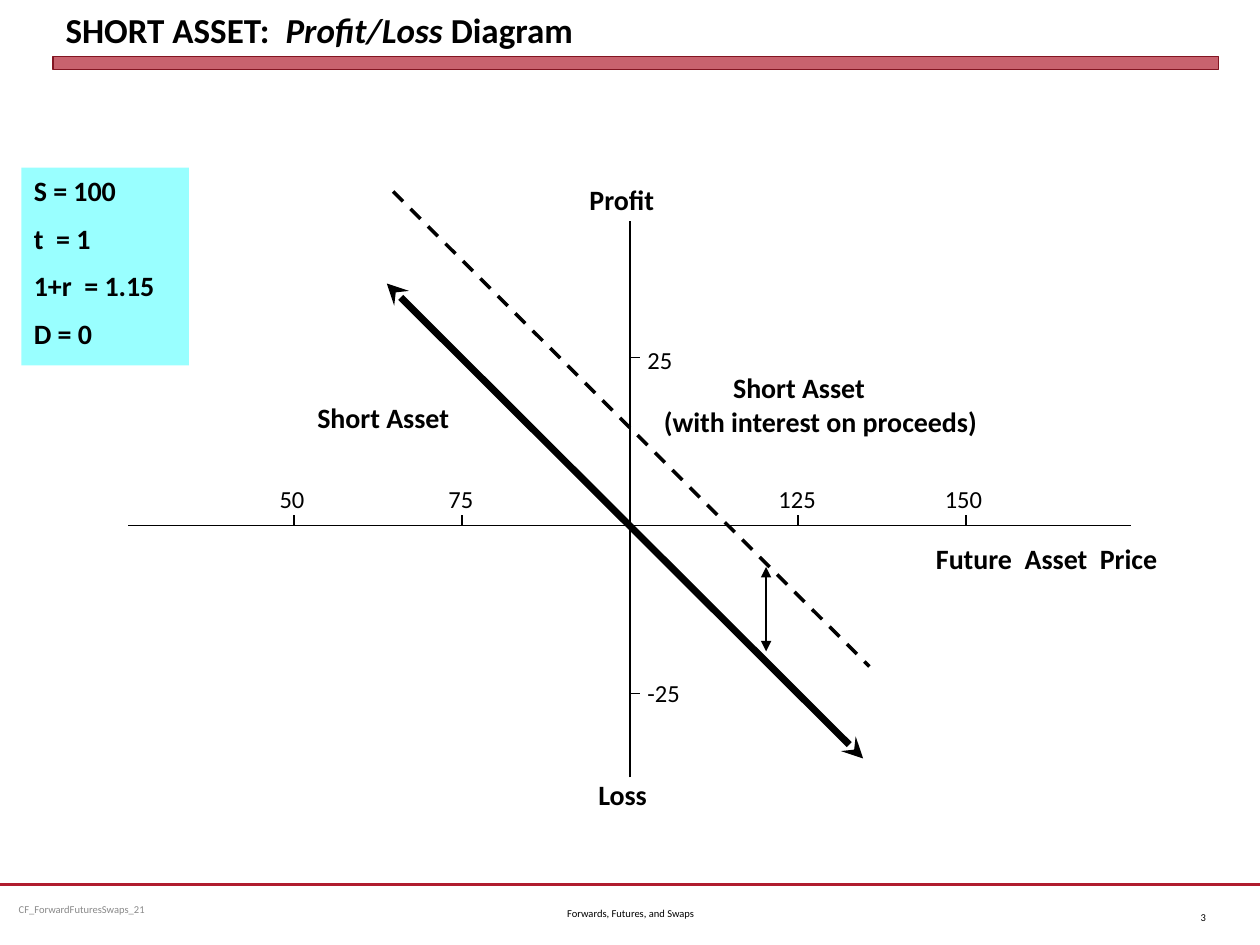
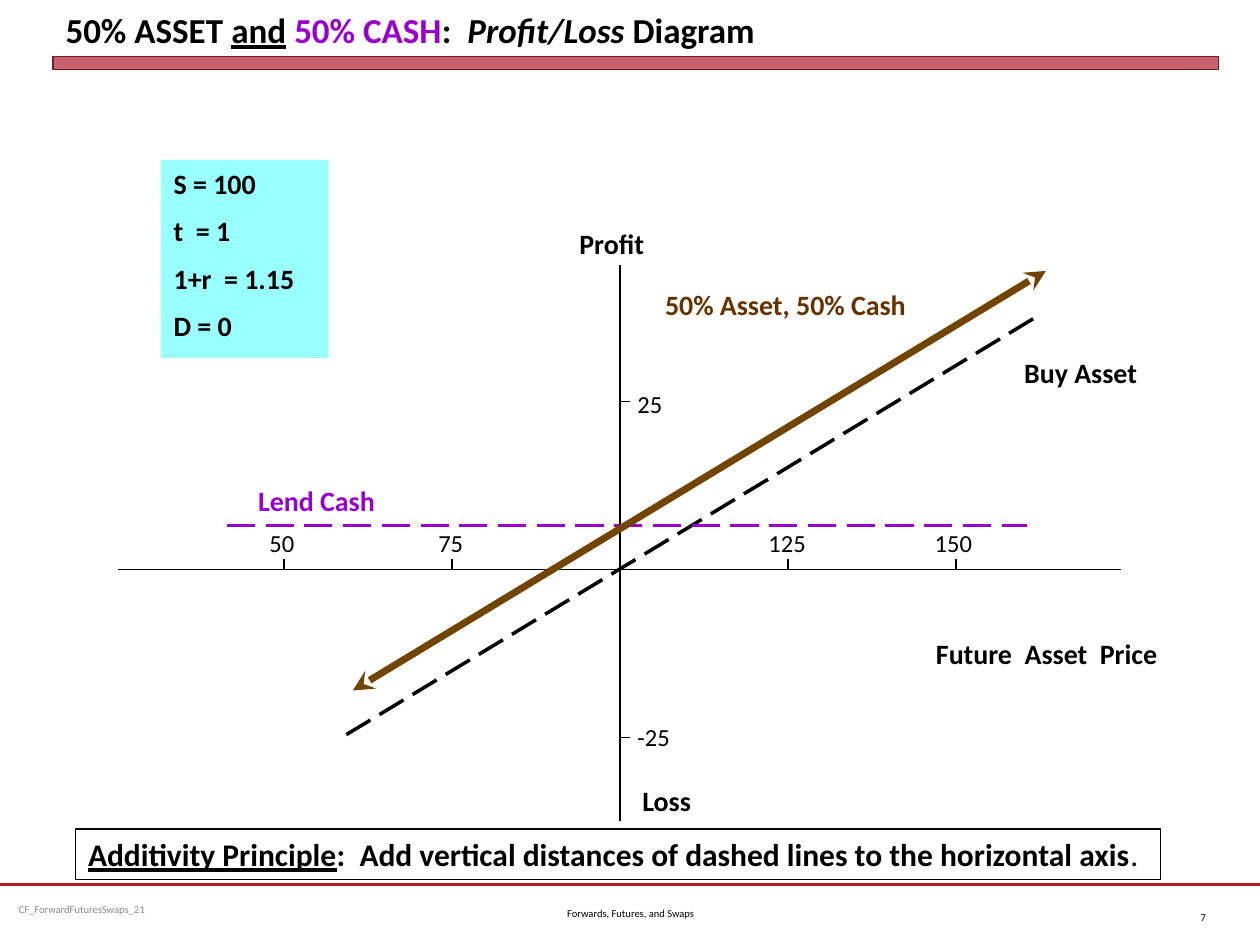
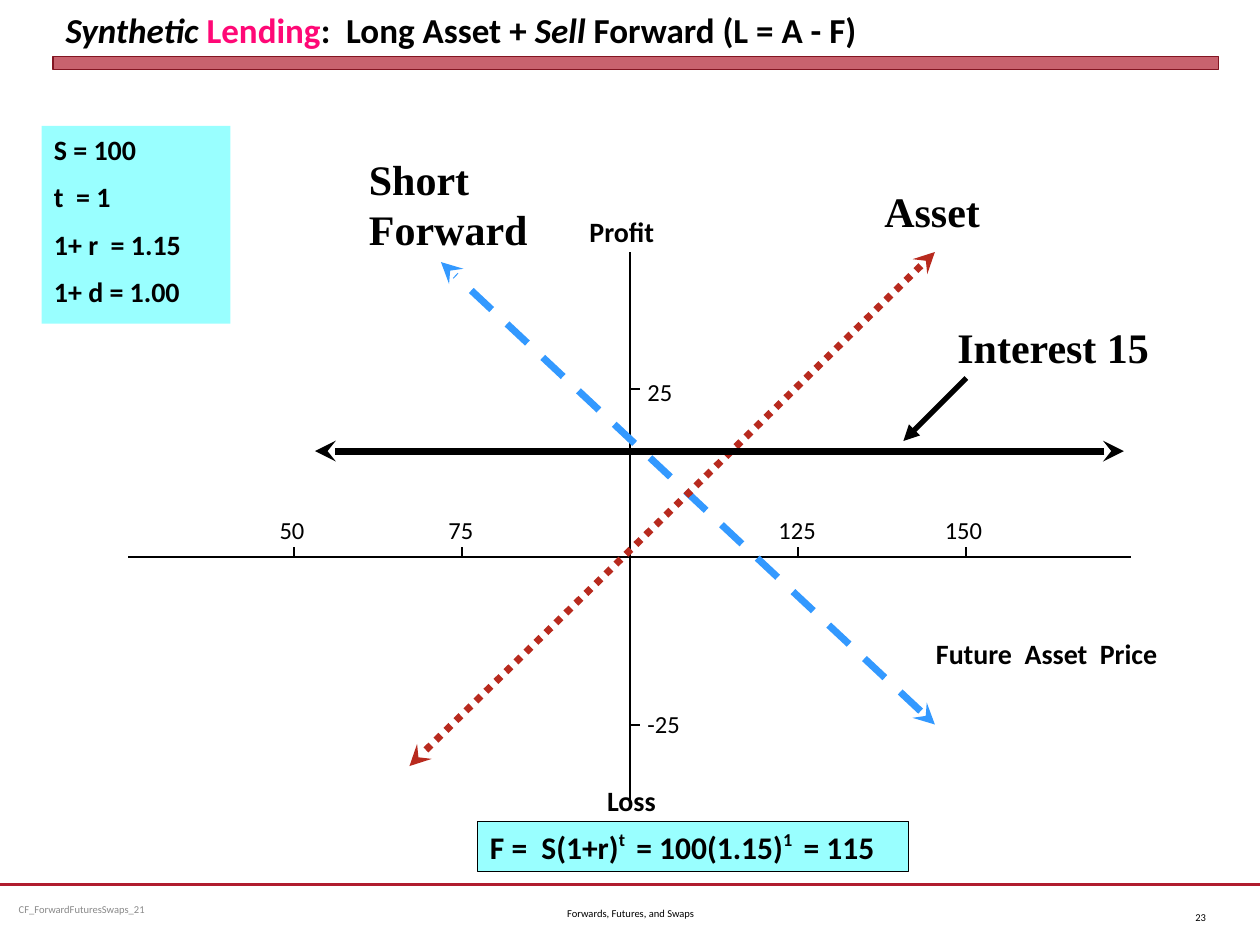
"""Build three slides of profit and loss diagrams for asset positions."""
import lxml.etree
import pptx
import pptx.dml.color
import pptx.enum.dml
import pptx.enum.shapes
import pptx.enum.text
import pptx.oxml.ns
import pptx.util

Inches = pptx.util.Inches
RGBColor = pptx.dml.color.RGBColor
Align = pptx.enum.text.PP_ALIGN
Anchor = pptx.enum.text.MSO_ANCHOR
Dash = pptx.enum.dml.MSO_LINE
RECT = pptx.enum.shapes.MSO_SHAPE.RECTANGLE
qn = pptx.oxml.ns.qn

BLACK = RGBColor(0x00, 0x00, 0x00)
GREY = RGBColor(0x89, 0x89, 0x89)
RED = RGBColor(0xB0, 0x1C, 0x2E)
MAROON = RGBColor(0x82, 0x15, 0x22)
CYAN = RGBColor(0x99, 0xFF, 0xFF)
PURPLE = RGBColor(0x99, 0x00, 0xCC)
PINK = RGBColor(0xFF, 0x08, 0x76)
BROWN = RGBColor(0x71, 0x44, 0x00)
UMBER = RGBColor(0x66, 0x33, 0x00)
BLUE = RGBColor(0x33, 0x99, 0xFF)
BRICK = RGBColor(0xB8, 0x2A, 0x1E)

SERIF = "Times New Roman"
ITALIC = {"italic": True}
UNDER = {"underline": True}
SUPER = {"baseline": "40000"}


def write(shape, paras, size=16, bold=True, color=BLACK, face="Calibri",
          gap=0, wrap=True, align=Align.LEFT, anchor=Anchor.TOP):
    frame = shape.text_frame
    frame.word_wrap = wrap
    frame.auto_size = pptx.enum.text.MSO_AUTO_SIZE.NONE
    frame.vertical_anchor = anchor
    for n, runs in enumerate(paras):
        para = frame.add_paragraph() if n else frame.paragraphs[0]
        para.alignment = align
        if n and gap:
            para.space_before = pptx.util.Pt(gap)
        font = para.font
        font.size, font.bold, font.name = pptx.util.Pt(size), bold, face
        font.color.rgb = color
        for words, style in [(runs, {})] if isinstance(runs, str) else runs:
            run = para.add_run()
            run.text = words
            for key, value in style.items():
                if key == "color":
                    run.font.color.rgb = value
                elif key == "baseline":
                    run._r.get_or_add_rPr().set(key, value)
                else:
                    setattr(run.font, key, value)


def draw(slide, ends, color=BLACK, width=1, dash=None, head=None, tail=None):
    line = slide.shapes.add_connector(
        pptx.enum.shapes.MSO_CONNECTOR.STRAIGHT, *map(Inches, ends))
    line.line.color.rgb = color
    line.line.width = pptx.util.Pt(width)
    if dash:
        line.line.dash_style = dash
    props = line._element.spPr
    for tag, kind in (("a:headEnd", head), ("a:tailEnd", tail)):
        if kind:
            lxml.etree.SubElement(props.find(qn("a:ln")), qn(tag), type=kind)
    lxml.etree.SubElement(props, qn("a:effectLst"))


pages = [
    {
        "number": "3",
        "title": [("SHORT ASSET:  ", {}), ("Profit/Loss", ITALIC), (" Diagram", {})],
        "origin": (5, 4.17), "loss": (4.65, 6.12), "price": 4.25,
        "panel": (0.17, 1.33, 1.33, 1.57),
        "facts": ["S = 100", "t  = 1", "1+r  = 1.15", "D = 0"],
        "lines": [
            ((3.12, 1.52, 6.9, 5.29), BLACK, 2, Dash.DASH),
            ((3.07, 2.25, 6.85, 6.02), BLACK, 4, None, "stealth", "stealth"),
            ((6.08, 4.5, 6.08, 5.17), BLACK, 1.5, None, "triangle", "triangle"),
        ],
        "labels": [
            ((5.72, 2.89, 1.26, 0.37), ["Short Asset"], {}),
            ((5.17, 3.16, 2.72, 0.37), ["(with interest on proceeds)"], {}),
            ((2.42, 3.13, 1.26, 0.37), ["Short Asset"], {}),
        ],
    },
    {
        "number": "7",
        "title": [("50% ASSET ", {}), ("and", UNDER), (" ", {}),
                  ("50% CASH", {"color": PURPLE}), (":  ", {}),
                  ("Profit/Loss ", ITALIC), ("Diagram", {})],
        "origin": (4.92, 4.52), "loss": (5, 6.17), "price": 5,
        "panel": (1.28, 1.27, 1.33, 1.57),
        "facts": ["S = 100", "t  = 1", "1+r  = 1.15", "D = 0"],
        "lines": [
            ((8.2, 2.53, 2.7, 5.86), BLACK, 2, Dash.LONG_DASH),
            ((1.8, 4.17, 8.15, 4.17), PURPLE, 2, Dash.LONG_DASH),
            ((8.3, 2.15, 2.8, 5.48), BROWN, 4, None, "stealth", "stealth"),
        ],
        "labels": [
            ((8.03, 2.77, 1.11, 0.37), ["Buy Asset"], {}),
            ((1.95, 3.79, 1.14, 0.37), ["Lend Cash"], {"color": PURPLE}),
            ((5.18, 2.23, 2.14, 0.37), ["50% Asset, 50% Cash"], {"color": UMBER}),
        ],
        "note": (0.6, 6.58, 8.61, 0.4), "fill": None,
        "words": [("Additivity Principle", UNDER),
                  (":  Add vertical distances of dashed lines to the horizontal axis", {}),
                  (".", {"bold": False})],
    },
    {
        "number": "23",
        "title": [("Synthetic ", ITALIC), ("Lending", {"color": PINK}),
                  (":  Long Asset + ", {}), ("Sell", ITALIC),
                  (" Forward (L = A - F)", {})],
        "origin": (5, 4.42), "loss": (4.72, 6.17), "price": 5,
        "panel": (0.33, 1, 1.5, 1.57),
        "facts": ["S = 100", "t  = 1", "1+ r  = 1.15", "1+ d = 1.00"],
        "lines": [
            ((7.42, 5.75, 3.5, 2.08), BLUE, 4, Dash.DASH, "stealth", "stealth"),
            ((7.42, 2, 3.25, 6.08), BRICK, 4, Dash.ROUND_DOT, "stealth", "stealth"),
            ((8.92, 3.58, 2.5, 3.58), BLACK, 4, None, "stealth", "stealth"),
            ((7.67, 3, 7.17, 3.5), BLACK, 3, None, None, "triangle"),
        ],
        "labels": [
            ((6.92, 1.42, 0.96, 0.5), ["Asset"], {"size": 24, "face": SERIF}),
            ((2.83, 1.17, 1.46, 0.9), ["Short", "Forward"], {"size": 24, "face": SERIF}),
            ((7.5, 2.5, 1.73, 0.5), ["Interest 15"], {"size": 24, "face": SERIF}),
        ],
        "note": (3.79, 6.52, 3.42, 0.4), "fill": CYAN,
        "words": [("F =  S(1+r)", {}), ("t ", SUPER), (" = 100(1.15)", {}),
                  ("1 ", SUPER), (" = 115", {})],
    },
]

deck = pptx.Presentation()
deck.slide_width, deck.slide_height = Inches(10), Inches(7.5)

for page in pages:
    slide = deck.slides.add_slide(deck.slide_layouts[5])
    shapes = slide.shapes

    draw(slide, (0, 7.02, 10, 7.02), RED, 1.25)
    band = shapes.add_shape(RECT, *map(Inches, (0.42, 0.45, 9.25, 0.1)))
    band.shadow.inherit = False
    band.fill.solid()
    band.fill.fore_color.rgb = RED
    shade = band._element.spPr.find(qn("a:solidFill"))[0]
    lxml.etree.SubElement(shade, qn("a:alpha"), val="69000")
    band.line.color.rgb = MAROON
    band.line.width = 0

    title = shapes.title
    title.left, title.top, title.width, title.height = map(
        Inches, (0.42, 0.05, 9.25, 0.4))
    write(title, [page["title"]], 20, anchor=Anchor.BOTTOM)
    for at, words, color, align in (
            ((0.05, 7.02, 2.58, 0.4), "CF_ForwardFuturesSwaps_21", GREY, Align.LEFT),
            ((9.17, 7.08, 0.5, 0.4), page["number"], BLACK, Align.RIGHT),
            ((3.42, 7.05, 3.17, 0.4), "Forwards, Futures, and Swaps", BLACK, Align.CENTER)):
        write(shapes.add_textbox(*map(Inches, at)), [words], 6, False, color,
              align=align, anchor=Anchor.MIDDLE)

    panel = shapes.add_shape(RECT, *map(Inches, page["panel"]))
    panel.shadow.inherit = False
    panel.fill.solid()
    panel.fill.fore_color.rgb = CYAN
    panel.line.fill.background()
    write(panel, page["facts"], gap=8)

    x, y = page["origin"]
    for step in (-2, -1, 1, 2):
        spot = x + step * 4 / 3
        draw(slide, (spot, y, spot, y - 0.08))
    for step in (-1, 1):
        spot = y + step * 4 / 3
        draw(slide, (x, spot, x + 0.08, spot))
    draw(slide, (x - 3.98, y, x + 3.98, y))
    draw(slide, (x, y + 2, x, y - 2.42))
    for words, dx, dy in (("50", -2.88, -0.38), ("75", -1.54, -0.38),
                          ("125", 1.08, -0.38), ("150", 2.4, -0.38),
                          ("25", 0.04, -1.48), ("-25", 0.04, 1.16)):
        box = shapes.add_textbox(*map(Inches, (x + dx, y + dy, 0.75, 0.34)))
        write(box, [words], 14, False)
    for words, left, top, width in (("Profit", x - 0.42, y - 2.77, 0.82),
                                    ("Loss", *page["loss"], 0.73),
                                    ("Future  Asset  Price", 7.33, page["price"], 2.58)):
        write(shapes.add_textbox(*map(Inches, (left, top, width, 0.37))), [words])

    for line in page["lines"]:
        draw(slide, *line)
    for at, paras, style in page["labels"]:
        write(shapes.add_textbox(*map(Inches, at)), paras, wrap=False, **style)

    if "note" in page:
        note = shapes.add_shape(RECT, *map(Inches, page["note"]))
        note.shadow.inherit = False
        if page["fill"]:
            note.fill.solid()
            note.fill.fore_color.rgb = page["fill"]
        else:
            note.fill.background()
        note.line.color.rgb = BLACK
        note.line.width = pptx.util.Pt(0.75)
        write(note, [page["words"]], 18)

deck.save("out.pptx")
